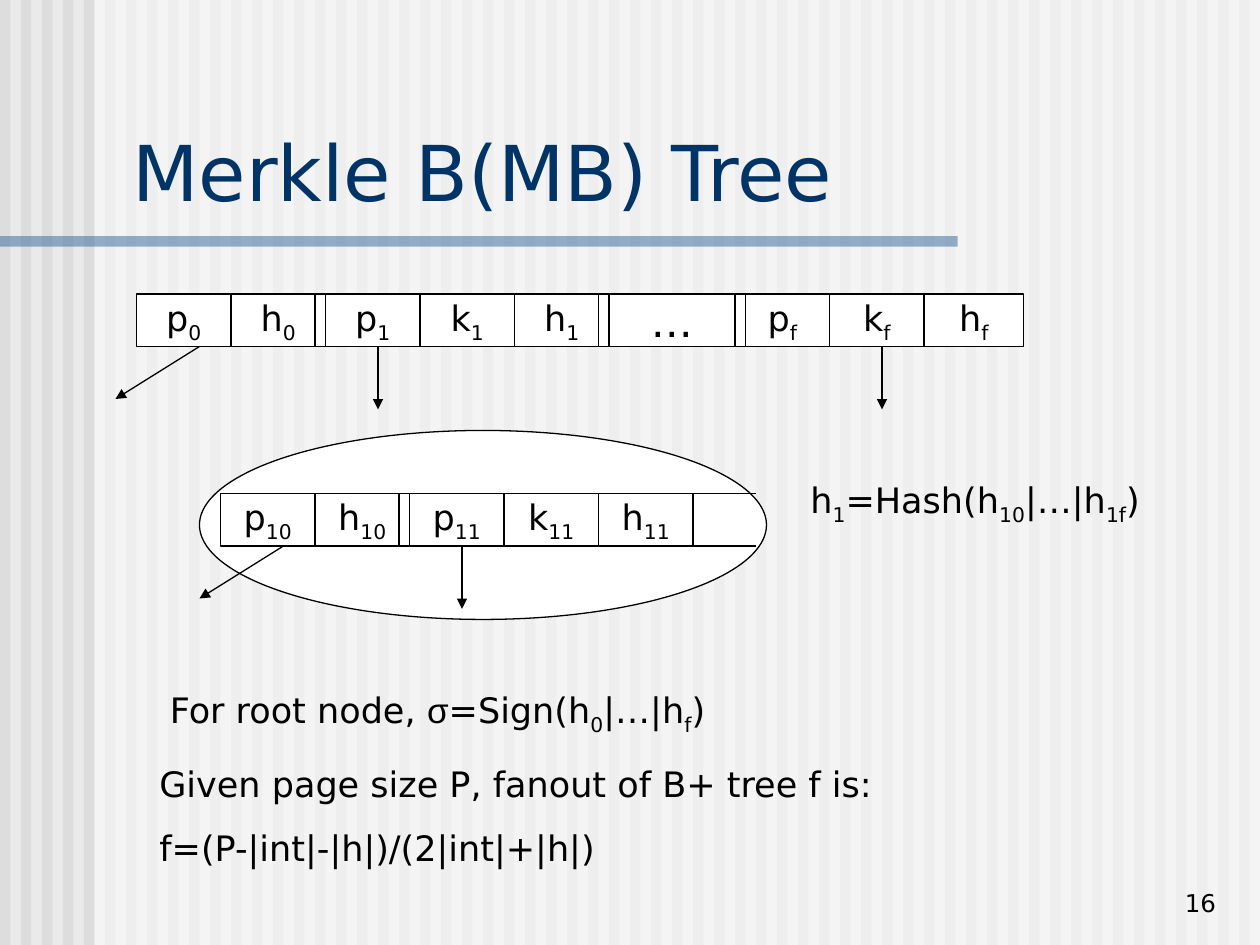
from dataclasses import dataclass

from lxml.etree import SubElement
from pptx import Presentation
from pptx.dml.color import RGBColor
from pptx.enum.shapes import MSO_CONNECTOR as Link, MSO_SHAPE as Shape
from pptx.enum.text import MSO_ANCHOR as Anchor, PP_ALIGN as Align
from pptx.oxml.ns import qn
from pptx.util import Cm, Pt


@dataclass(frozen=True)
class Theme:
    """Colours, fonts and type sizes of the slide."""
    ground: str = "EAEAEA"
    stripe: str = "DDDDDD"
    white: str = "FFFFFF"
    accent: str = "336699"
    heading: str = "003366"
    ink: str = "000000"
    font: str = "DejaVu Sans"
    greek_font: str = "Arial"
    title_size: int = 44
    dots_size: int = 24
    body_size: int = 20
    number_size: int = 14
    line_width: float = 0.75


THEME = Theme()
CELL_WIDTH, CELL_HEIGHT = 9, 5
ROOT_CELLS = [("p_0_", 9), ("h_0_", 9), ("p_1_", 9), ("k_1_", 9), ("h_1_", 9),
              ("…", 12), ("p_f_", 9), ("k_f_", 9), ("h_f_", 9.5)]
CHILD_CELLS = [(label, CELL_WIDTH)
               for label in ("p_10_", "h_10_", "p_11_", "k_11_", "h_11_")]


def grid(units):
    """Convert grid units, twelve to 2.54 cm, into a length."""
    return Cm(units * 2.54 / 12)


def box(left, top, width, height):
    """Convert a box in grid units into lengths."""
    return [grid(units) for units in (left, top, width, height)]


def write(paragraph, text, size=THEME.body_size, color=THEME.ink, align=Align.LEFT):
    """Write text in which underscores enclose subscripts and Greek letters."""
    paragraph.alignment = align
    paragraph.font.size = Pt(size)
    paragraph.font.name = THEME.font
    paragraph.font.color.rgb = RGBColor.from_string(color)
    for index, part in enumerate(text.split("_")):
        if not part:
            continue
        run = paragraph.add_run()
        run.text = part
        if part == "σ":
            run.font.name = THEME.greek_font
        elif index % 2:
            run.font._element.set("baseline", "-25000")


def add_figure(slide, kind, bounds, fill, outlined=False, alpha=None):
    """Add a filled preset shape, optionally outlined or see-through."""
    figure = slide.shapes.add_shape(kind, *box(*bounds))
    figure.shadow.inherit = False
    figure.fill.solid()
    figure.fill.fore_color.rgb = RGBColor.from_string(fill)
    if outlined:
        figure.line.color.rgb = RGBColor.from_string(THEME.ink)
        figure.line.width = Pt(THEME.line_width)
    else:
        figure.line.fill.background()
    if alpha is not None:
        color = figure._element.spPr.find(qn("a:solidFill"))[0]
        SubElement(color, qn("a:alpha")).set("val", str(alpha * 1000))
    return figure


def add_line(slide, start, end, arrow=False):
    """Add a straight line between two grid points."""
    line = slide.shapes.add_connector(Link.STRAIGHT, *map(grid, start + end))
    line.line.color.rgb = RGBColor.from_string(THEME.ink)
    line.line.width = Pt(THEME.line_width)
    if arrow:
        SubElement(line.line._get_or_add_ln(), qn("a:tailEnd")).set("type", "triangle")
    SubElement(line._element.spPr, qn("a:effectLst"))


def add_text(slide, bounds, lines, anchor=Anchor.TOP, **style):
    """Add a wrapping text box with one paragraph for each line."""
    frame = slide.shapes.add_textbox(*box(*bounds)).text_frame
    frame.word_wrap = True
    frame.vertical_anchor = anchor
    for index, line in enumerate(lines):
        paragraph = frame.add_paragraph() if index else frame.paragraphs[0]
        if index:
            paragraph.space_before = Pt(12.5)
        write(paragraph, line, **style)


def add_node(slide, left, top, cells, dividers, arrows):
    """Add a tree node with its cells, entry dividers and child pointers."""
    bottom = top + CELL_HEIGHT
    for label, width in cells:
        bounds = (left, top, width, CELL_HEIGHT)
        frame = add_figure(slide, Shape.RECTANGLE, bounds, THEME.white, True).text_frame
        frame.word_wrap = False
        frame.vertical_anchor = Anchor.MIDDLE
        size = THEME.dots_size if label == "…" else THEME.body_size
        write(frame.paragraphs[0], label, size, align=Align.CENTER)
        left += width
    for x in dividers:
        add_line(slide, (x, top), (x, bottom))
    for x, tip_x, drop in arrows:
        add_line(slide, (x, bottom), (tip_x, bottom + drop), arrow=True)


def add_backdrop(slide):
    """Paint the striped ground, its veil and the rule under the title."""
    slide.background.fill.solid()
    slide.background.fill.fore_color.rgb = RGBColor.from_string(THEME.ground)
    for x in range(0, 120, 2):
        add_figure(slide, Shape.RECTANGLE, (x, 0, 1, 90), THEME.stripe)
    add_figure(slide, Shape.RECTANGLE, (9, 0, 111, 90), THEME.white, alpha=50)
    add_figure(slide, Shape.RECTANGLE, (0, 22.5, 91.2, 1), THEME.accent, alpha=50)


def add_title(slide, text):
    """Place the title placeholder in front of the backdrop."""
    title = slide.shapes.title
    title.element.getparent().append(title.element)
    title.left, title.top, title.width, title.height = box(11.4, 11.3, 107.2, 10)
    title.text_frame.vertical_anchor = Anchor.BOTTOM
    write(title.text_frame.paragraphs[0], text, THEME.title_size, THEME.heading)


def main():
    """Build and save the slide."""
    deck = Presentation()
    deck.slide_width, deck.slide_height = Cm(25.4), Cm(19.05)
    slide = deck.slides.add_slide(deck.slide_layouts[5])
    add_backdrop(slide)
    add_title(slide, "Merkle B(MB) Tree")
    add_node(slide, 13, 28, ROOT_CELLS, dividers=(30, 57, 71),
             arrows=((19, 11, 5), (36, 36, 6), (84, 84, 6)))
    add_figure(slide, Shape.OVAL, (19, 41, 54, 18), THEME.white, outlined=True)
    add_node(slide, 21, 47, CHILD_CELLS, dividers=(38,),
             arrows=((27, 19, 5), (44, 44, 6)))
    for y in (47, 47 + CELL_HEIGHT):
        add_line(slide, (66, y), (72, y))
    add_text(slide, (76, 45, 36, 5.8), ["h_1_=Hash(h_10_|…|h_1f_)"])
    add_text(slide, (15, 65, 72, 5.8), ["For root node, _σ_=Sign(h_0_|…|h_f_)"])
    add_text(slide, (14, 72, 72, 11.3), ["Given page size P, fanout of B+ tree f is:",
                                         "f=(P-|int|-|h|)/(2|int|+|h|)"])
    add_text(slide, (105, 82, 12, 6), ["16"], Anchor.BOTTOM,
             size=THEME.number_size, align=Align.RIGHT)
    deck.save("out.pptx")


if __name__ == "__main__":
    main()
